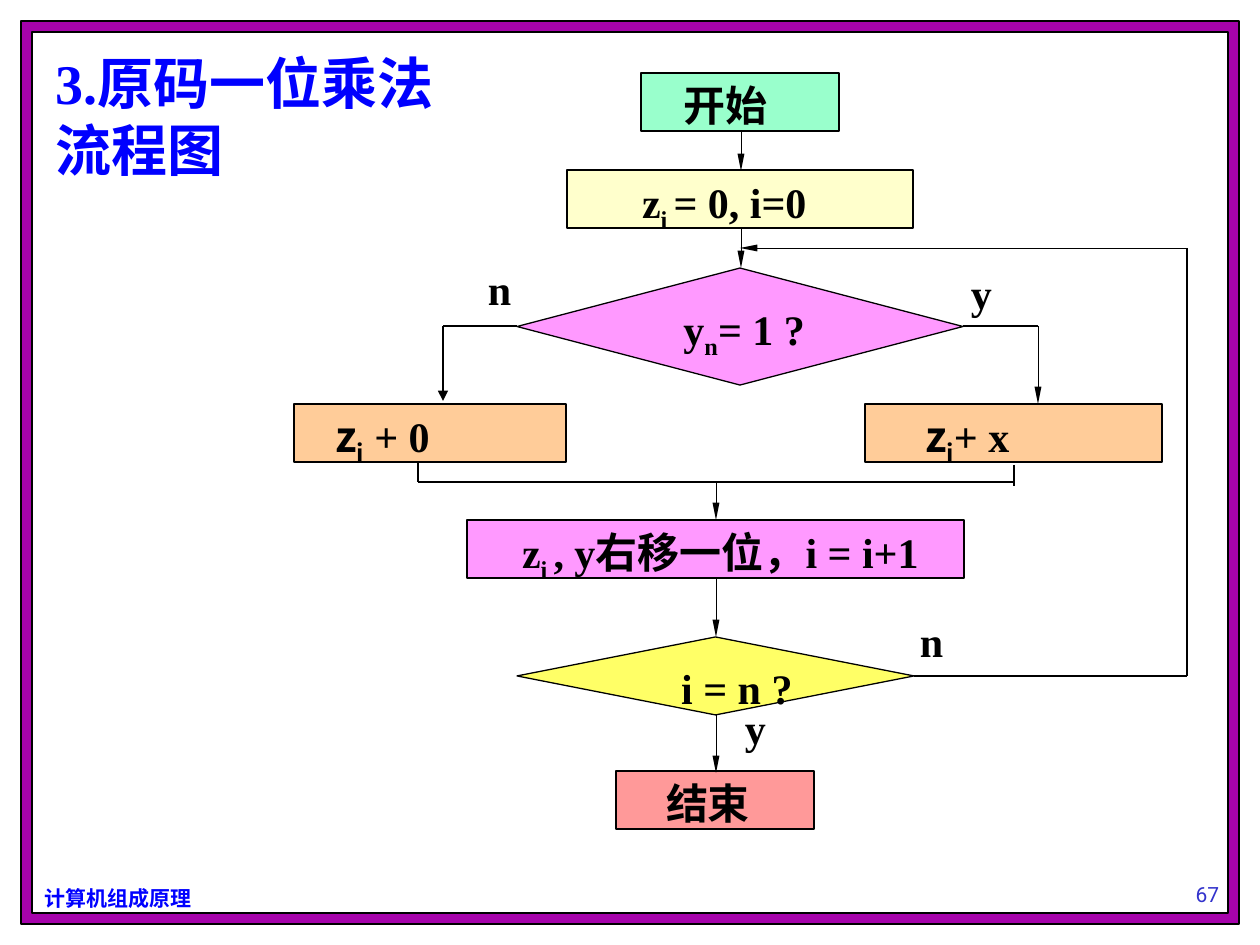
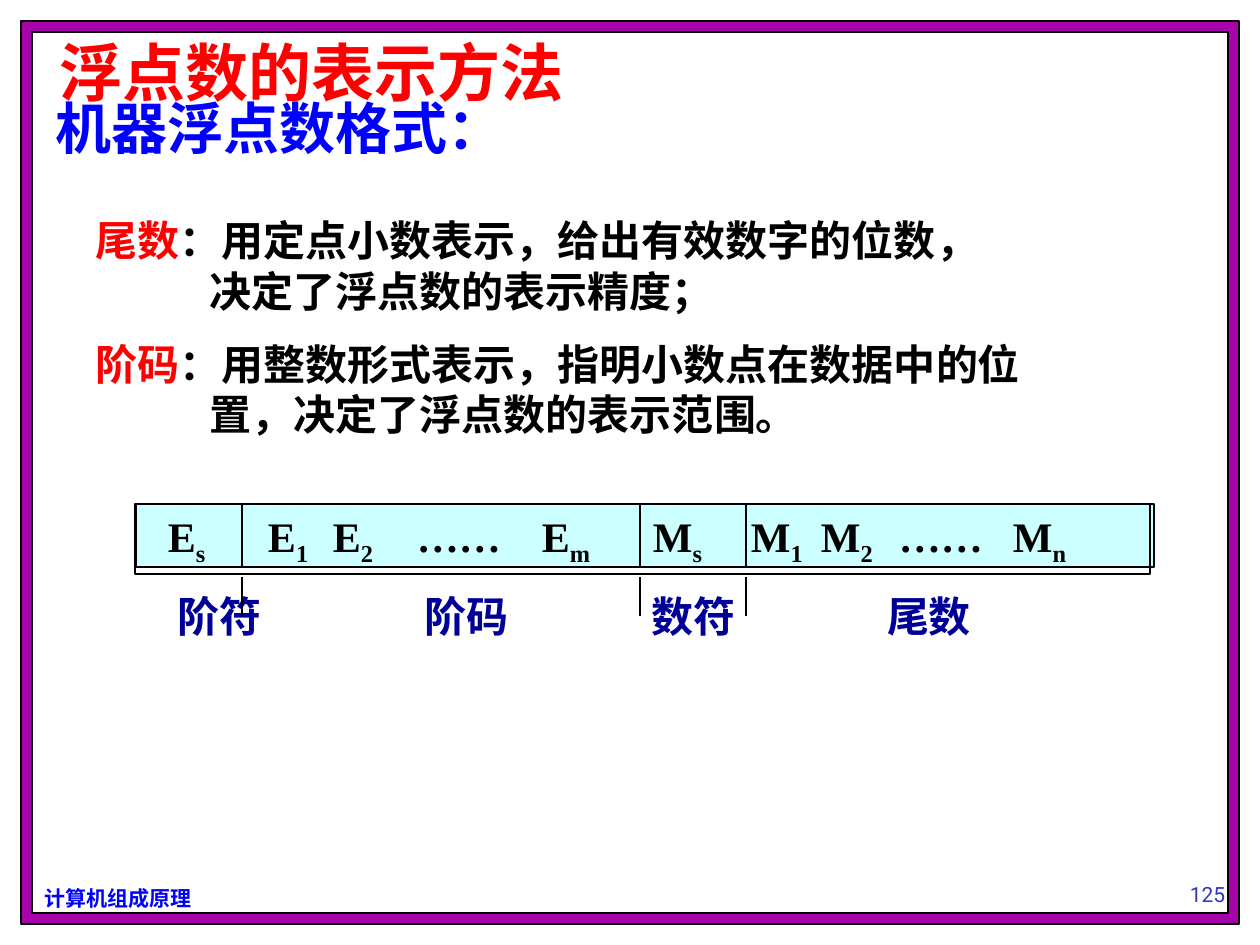
from itertools import pairwise
from lxml.etree import SubElement
from pptx import Presentation
from pptx.dml.color import RGBColor
from pptx.enum.shapes import MSO_CONNECTOR as LINK, MSO_SHAPE as SHAPE
from pptx.enum.text import MSO_ANCHOR as ANCHOR, MSO_AUTO_SIZE as FIT, PP_ALIGN as ALIGN
from pptx.oxml.ns import qn
from pptx.util import Emu, Pt

PX = 914400 / 126
SERIF, HAN, DIGITS = "Times New Roman", "Noto Sans CJK SC", "Roboto"
BLACK, WHITE, BLUE, RED = "000000", "FFFFFF", "0000FF", "FF0000"
NAVY, INDIGO, PURPLE, CYAN = "000099", "3333CC", "A603AB", "CCFFFF"

FRAMES = [((21, 21, 1218, 903), PURPLE), ((32, 32, 1196, 881), WHITE)]
COURSE = "计算机组成原理"

FLOW_TITLE = "3.原码一位乘法流程图"
# Text between ~ marks is a subscript.
STEPS = [
    (SHAPE.RECTANGLE, (641, 73, 198, 58), "99FFCC", 42, "开始", SERIF),
    (SHAPE.RECTANGLE, (567, 170, 346, 58), "FFFFCC", 75, "z~i ~= 0, i=0", SERIF),
    (SHAPE.DIAMOND, (517, 268, 446, 117), "FF99FF", 55, "y~n~= 1 ?", SERIF),
    (SHAPE.RECTANGLE, (294, 404, 272, 58), "FFCC99", 41, "z~i~ + 0", HAN),
    (SHAPE.RECTANGLE, (865, 404, 297, 58), "FFCC99", 60, "z~i~+ x", HAN),
    (SHAPE.RECTANGLE, (467, 520, 497, 58), "FF99FF", 55, "z~i ~, y右移一位，i = i+1", SERIF),
    (SHAPE.DIAMOND, (517, 637, 397, 78), "FFFF66", 65, "i = n ?", SERIF),
    (SHAPE.RECTANGLE, (616, 771, 198, 58), "FF9999", 50, "结束", SERIF),
]
THIN, NORMAL = 0.25, 0.75
ROUTES = [
    ([(741, 132), (741, 171)], THIN),
    ([(741, 229), (741, 268)], THIN),
    ([(517, 326), (443, 326), (443, 401)], NORMAL),
    ([(963, 326), (1038, 326), (1038, 404)], THIN),
    ([(418, 462), (418, 482), (1014, 482)], None),
    ([(1014, 465), (1014, 486)], None),
    ([(716, 482), (716, 520)], THIN),
    ([(716, 578), (716, 637)], THIN),
    ([(716, 715), (716, 773)], THIN),
    ([(914, 676), (1187, 676), (1187, 248), (740, 248)], THIN),
]
ANSWERS = [("y", 958, 262), ("y", 732, 697), ("n", 475, 258), ("n", 907, 610)]

FLOAT_TITLE = "浮点数的表示方法"
FORMAT_HEADING = "机器浮点数格式："
DEFINITIONS = [
    ("尾数", "：用定点小数表示，给出有效数字的位数，\v决定了浮点数的表示精度；"),
    ("阶码", "：用整数形式表示，指明小数点在数据中的位\v置，决定了浮点数的表示范围。"),
]
FIELDS = [("E~s", 168), ("E~1", 268), ("E~2", 333), ("……", 417), ("E~m", 542),
          ("M~s", 653), ("M~1", 751), ("M~2", 821), ("……", 899), ("M~n", 1013)]
FIELD_NAMES = [("阶符", 178), ("阶码", 425), ("数符", 652), ("尾数", 887)]
DIVIDERS = [242, 640, 746]


def emu(px):
    return Emu(round(px * PX))


def rgb(code):
    return RGBColor.from_string(code)


def place(shape, box):
    shape.left, shape.top, shape.width, shape.height = map(emu, box)


def subscripts(text, lead=SERIF):
    return [(part, {"base": -25000 * (i % 2), "font": lead if i < 2 else SERIF})
            for i, part in enumerate(text.split("~")) if part]


def style(paragraph, size, color, font, bold, align):
    paragraph.alignment = align
    paragraph.space_before = Pt(0)
    paragraph.font.size, paragraph.font.bold = Pt(size), bold
    paragraph.font.name = font
    paragraph.font.color.rgb = rgb(color)
    defaults = paragraph._p.pPr.find(qn("a:defRPr"))
    defaults.find(qn("a:latin")).addnext(defaults.makeelement(qn("a:ea"), {"typeface": HAN}))


def write(paragraph, runs, size=24, color=BLACK, font=SERIF, bold=True, align=ALIGN.LEFT):
    for text, look in runs:
        for i, line in enumerate(text.split("\v")):
            if i:
                paragraph.add_line_break()
            run = paragraph.add_run()
            run.text = line
            if look.get("base"):
                run._r.get_or_add_rPr().set("baseline", str(look["base"]))
            if look.get("font", font) != font:
                run.font.name = look["font"]
            if "color" in look:
                run.font.color.rgb = rgb(look["color"])
    style(paragraph, size, color, font, bold, align)


def prepare(frame, left=13, top=6, anchor=ANCHOR.TOP):
    frame.word_wrap, frame.auto_size = True, FIT.NONE
    frame.vertical_anchor = anchor
    frame.margin_left, frame.margin_right = emu(left), emu(13)
    frame.margin_top = frame.margin_bottom = emu(top)
    return frame.paragraphs[0]


def label(slide, box, text, anchor=ANCHOR.TOP, **look):
    frame = slide.shapes.add_textbox(*map(emu, box)).text_frame
    write(prepare(frame, anchor=anchor), [(text, {})], **look)


def block(slide, kind, box, fill=None):
    shape = slide.shapes.add_shape(kind, *map(emu, box))
    shape.shadow.inherit = False
    if fill:
        shape.fill.solid()
        shape.fill.fore_color.rgb = rgb(fill)
    else:
        shape.fill.background()
    shape.line.color.rgb, shape.line.width = rgb(BLACK), Pt(NORMAL)
    return shape


def line(slide, start, end, tip=None):
    link = slide.shapes.add_connector(LINK.STRAIGHT, *map(emu, (*start, *end)))
    link.line.color.rgb, link.line.width = rgb(BLACK), Pt(tip or NORMAL)
    if tip:
        width, length = ("sm", "lg") if tip == THIN else ("med", "med")
        SubElement(link.line._get_or_add_ln(), qn("a:tailEnd"), type="triangle", w=width, len=length)
    SubElement(link.element.spPr, qn("a:effectLst"))


def tabbed(paragraph, items, origin):
    tabs = SubElement(paragraph._p.get_or_add_pPr(), qn("a:tabLst"))
    runs = []
    for i, (text, x) in enumerate(items):
        if i:
            SubElement(tabs, qn("a:tab"), pos=str(emu(x - origin)), algn="l")
            runs.append(("\t", {}))
        runs += subscripts(text)
    return runs


def share_frame(slide, layout):
    for box, fill in FRAMES:
        block(slide, SHAPE.RECTANGLE, box, fill)
    label(slide, (32, 880, 200, 37), COURSE, size=12, color=BLUE, font=HAN)
    for shape in list(slide.shapes):
        if not shape.is_placeholder:
            layout.shapes.element.append(shape.element)


def set_title(slide, box, text, left=13, top=6, **look):
    place(slide.shapes.title, box)
    paragraph = prepare(slide.shapes.title.text_frame, left, top)
    write(paragraph, [(text, {})], **look)
    return paragraph


def add_number(slide, number):
    label(slide, (1092, 850, 231, 63), number, ANCHOR.BOTTOM, size=12, color=INDIGO,
          font=DIGITS, bold=False, align=ALIGN.CENTER)


def draw_flowchart(slide):
    set_title(slide, (42, 42, 451, 147), FLOW_TITLE, size=32, color=BLUE)
    for kind, box, fill, left, text, lead in STEPS:
        step = block(slide, kind, box, fill)
        write(prepare(step.text_frame, left), subscripts(text, lead))
    for points, tip in ROUTES:
        for start, end in pairwise(points):
            line(slide, start, end, tip if end == points[-1] else None)
    for text, x, y in ANSWERS:
        label(slide, (x, y, 60, 63), text)
    add_number(slide, "67")


def draw_float_format(slide):
    title = set_title(slide, (32, 42, 779, 68), FLOAT_TITLE, 28, 0, size=36, color=RED, font=HAN)
    title.line_spacing = 0.9
    label(slide, (42, 87, 474, 81), FORMAT_HEADING, size=32, color=BLUE)

    frame = slide.shapes.add_textbox(*map(emu, (44, 209, 1090, 237))).text_frame
    paragraph = prepare(frame, 52)
    for i, (term, meaning) in enumerate(DEFINITIONS):
        if i:
            paragraph = frame.add_paragraph()
        write(paragraph, [(term, {"color": RED}), (meaning, {})])
        paragraph._p.pPr.set("marL", str(emu(114)))
        paragraph._p.pPr.set("indent", str(emu(-114)))
        paragraph.space_before = Pt(13 * i)

    block(slide, SHAPE.RECTANGLE, (136, 504, 1018, 63), CYAN)
    outline = block(slide, SHAPE.RECTANGLE, (135, 504, 1015, 70))
    names = slide.shapes.add_textbox(*map(emu, (165, 585, 840, 63)))
    for row, items, left, color in [(outline, FIELDS, 33, BLACK), (names, FIELD_NAMES, 13, NAVY)]:
        paragraph = prepare(row.text_frame, left)
        write(paragraph, tabbed(paragraph, items, items[0][1]), color=color)
    for x in DIVIDERS:
        for top, bottom in [(504, 567), (577, 616)]:
            line(slide, (x, top), (x, bottom))
    add_number(slide, "125")


def main():
    deck = Presentation()
    deck.slide_width, deck.slide_height = emu(1260), emu(945)
    layout = deck.slide_layouts[5]
    flowchart, float_format = (deck.slides.add_slide(layout) for _ in range(2))
    share_frame(flowchart, layout)
    draw_flowchart(flowchart)
    draw_float_format(float_format)
    deck.save("out.pptx")


if __name__ == "__main__":
    main()
